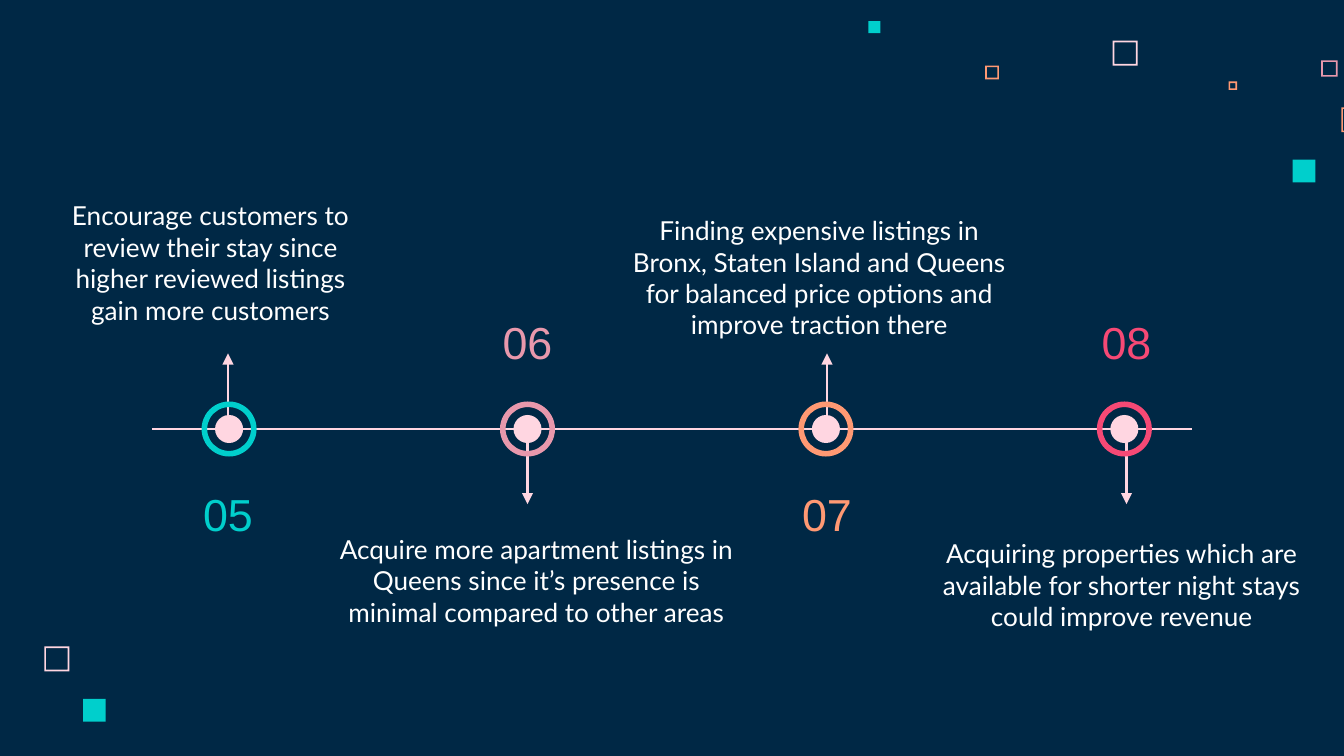
from dataclasses import dataclass

from lxml.etree import SubElement
from pptx import Presentation
from pptx.dml.color import RGBColor
from pptx.enum.shapes import MSO_CONNECTOR, MSO_SHAPE
from pptx.enum.text import MSO_ANCHOR, MSO_AUTO_SIZE, PP_ALIGN
from pptx.oxml.ns import qn
from pptx.util import Cm, Pt

NAVY = RGBColor(0x00, 0x28, 0x45)
WHITE = RGBColor(0xFF, 0xFF, 0xFF)
BLUSH = RGBColor(0xFF, 0xD6, 0xE1)
TEAL = RGBColor(0x00, 0xCF, 0xCC)
ROSE = RGBColor(0xE8, 0x98, 0xAC)
ORANGE = RGBColor(0xFF, 0x99, 0x73)
CRIMSON = RGBColor(0xF6, 0x49, 0x75)

AXIS_Y = 8.11
RING_SIZE = 1.04
DOT_SIZE = 0.53


@dataclass
class Milestone:
    """One step of the timeline; the caption box is left, top, width, height in cm."""

    number: str
    color: RGBColor
    caption: str
    box: tuple
    upward: bool


MILESTONES = [
    Milestone("05", TEAL,
              "Encourage customers to review their stay since higher reviewed "
              "listings gain more customers",
              (0.97, 4.6, 6.02, 1.8), True),
    Milestone("06", ROSE,
              "Acquire more apartment listings in Queens since it’s presence is "
              "minimal compared to other areas",
              (6.1, 9.83, 8.08, 2.21), False),
    Milestone("07", ORANGE,
              "Finding expensive listings in Bronx, Staten Island and Queens for "
              "balanced price options and improve traction there",
              (11.46, 3.45, 8.05, 3.23), True),
    Milestone("08", CRIMSON,
              "Acquiring properties which are available for shorter night stays "
              "could improve revenue",
              (17.25, 9.91, 7.9, 2.69), False),
]

HOLLOW_SQUARES = [
    (21.03, 0.77, 0.47, BLUSH),
    (24.97, 1.14, 0.31, ROSE),
    (23.22, 1.54, 0.16, ORANGE),
    (25.35, 2.03, 0.47, ORANGE),
    (18.62, 1.24, 0.26, ORANGE),
    (0.84, 12.22, 0.47, BLUSH),
]

SOLID_SQUARES = [
    (24.43, 3.02, 0.43, TEAL),
    (16.41, 0.4, 0.23, TEAL),
    (1.57, 13.21, 0.43, TEAL),
]


def paint(shape, color):
    """Fill a shape with one colour and remove its outline and shadow."""
    shape.fill.solid()
    shape.fill.fore_color.rgb = color
    shape.line.fill.background()
    shape.shadow.inherit = False


def add_hollow_square(slide, left, top, size, color, border=0.03):
    """Draw a square outline as a freeform with an inner cut-out."""
    right, bottom = left + size, top + size
    builder = slide.shapes.build_freeform(Cm(left), Cm(top))
    builder.add_line_segments(
        [(Cm(left), Cm(bottom)), (Cm(right), Cm(bottom)), (Cm(right), Cm(top))])
    near_x, near_y = Cm(left + border), Cm(top + border)
    far_x, far_y = Cm(right - border), Cm(bottom - border)
    builder.move_to(far_x, near_y)
    builder.add_line_segments([(far_x, far_y), (near_x, far_y), (near_x, near_y)])
    paint(builder.convert_to_shape(), color)


def add_solid_square(slide, left, top, size, color):
    """Draw a filled square."""
    square = slide.shapes.add_shape(
        MSO_SHAPE.RECTANGLE, Cm(left), Cm(top), Cm(size), Cm(size))
    paint(square, color)


def add_line(slide, start, end, arrow=False):
    """Draw a straight line, optionally with an arrowhead at its end."""
    connector = slide.shapes.add_connector(
        MSO_CONNECTOR.STRAIGHT, *(Cm(value) for value in start + end))
    connector.line.color.rgb = BLUSH
    connector.line.width = Pt(1.5)
    if arrow:
        SubElement(connector.line._get_or_add_ln(), qn("a:tailEnd"), type="triangle")
    SubElement(connector._element.spPr, qn("a:effectLst"))


def add_marker(slide, center_x, color):
    """Group a dot and the coloured ring around it."""
    group = slide.shapes.add_group_shape()
    for preset, size, fill in ((MSO_SHAPE.OVAL, DOT_SIZE, BLUSH),
                               (MSO_SHAPE.DONUT, RING_SIZE, color)):
        shape = group.shapes.add_shape(
            preset, Cm(center_x - size / 2), Cm(AXIS_Y - size / 2), Cm(size), Cm(size))
        if preset == MSO_SHAPE.DONUT:
            shape.adjustments[0] = 0.102
        paint(shape, fill)


def write_text(shape, text, font_name, size, color, anchor):
    """Write one centred paragraph into a shape."""
    frame = shape.text_frame
    frame.word_wrap = True
    frame.auto_size = MSO_AUTO_SIZE.NONE
    frame.vertical_anchor = anchor
    frame.margin_left = frame.margin_right = Cm(0.25)
    frame.margin_top = frame.margin_bottom = Cm(0.25)
    frame.text = text
    paragraph = frame.paragraphs[0]
    paragraph.alignment = PP_ALIGN.CENTER
    paragraph.space_before = Pt(0)
    paragraph.font.name = font_name
    paragraph.font.size = Pt(size)
    paragraph.font.bold = False
    paragraph.font.color.rgb = color
    return paragraph


def fill_caption(placeholder, milestone):
    """Place a milestone caption in a body placeholder without a bullet."""
    left, top, width, height = (Cm(value) for value in milestone.box)
    placeholder.left, placeholder.top = left, top
    placeholder.width, placeholder.height = width, height
    anchor = MSO_ANCHOR.BOTTOM if milestone.upward else MSO_ANCHOR.TOP
    paragraph = write_text(placeholder, milestone.caption, "Lato", 14, WHITE, anchor)
    properties = paragraph._p.get_or_add_pPr()
    properties.set("marL", "0")
    properties.set("indent", "0")
    bullet = SubElement(properties, qn("a:buNone"))
    properties.find(qn("a:defRPr")).addprevious(bullet)


def add_number(slide, center_x, milestone):
    """Write the milestone number on the side opposite its caption."""
    top = 9.12 if milestone.upward else 5.87
    box = slide.shapes.add_textbox(Cm(center_x - 1.79), Cm(top), Cm(3.58), Cm(1.19))
    write_text(box, milestone.number, "Arial", 24, milestone.color, MSO_ANCHOR.MIDDLE)


def main():
    """Build the timeline slide and save it."""
    presentation = Presentation()
    presentation.slide_width, presentation.slide_height = Cm(25.4), Cm(14.29)
    slide = presentation.slides.add_slide(
        presentation.slide_layouts.get_by_name("Comparison"))
    slide.background.fill.solid()
    slide.background.fill.fore_color.rgb = NAVY

    title = slide.shapes.title._element
    title.getparent().remove(title)
    for placeholder, milestone in zip(list(slide.placeholders), MILESTONES):
        fill_caption(placeholder, milestone)

    for square in HOLLOW_SQUARES:
        add_hollow_square(slide, *square)
    for square in SOLID_SQUARES:
        add_solid_square(slide, *square)

    add_line(slide, (2.87, AXIS_Y), (22.53, AXIS_Y))
    for index, milestone in enumerate(MILESTONES):
        arrow_x = 4.31 + 5.66 * index
        start_y, end_y = (7.95, 6.68) if milestone.upward else (8.28, 9.53)
        add_line(slide, (arrow_x, start_y), (arrow_x, end_y), arrow=True)
        add_marker(slide, 4.33 + 5.64 * index, milestone.color)
        add_number(slide, arrow_x, milestone)

    presentation.save("out.pptx")


if __name__ == "__main__":
    main()
